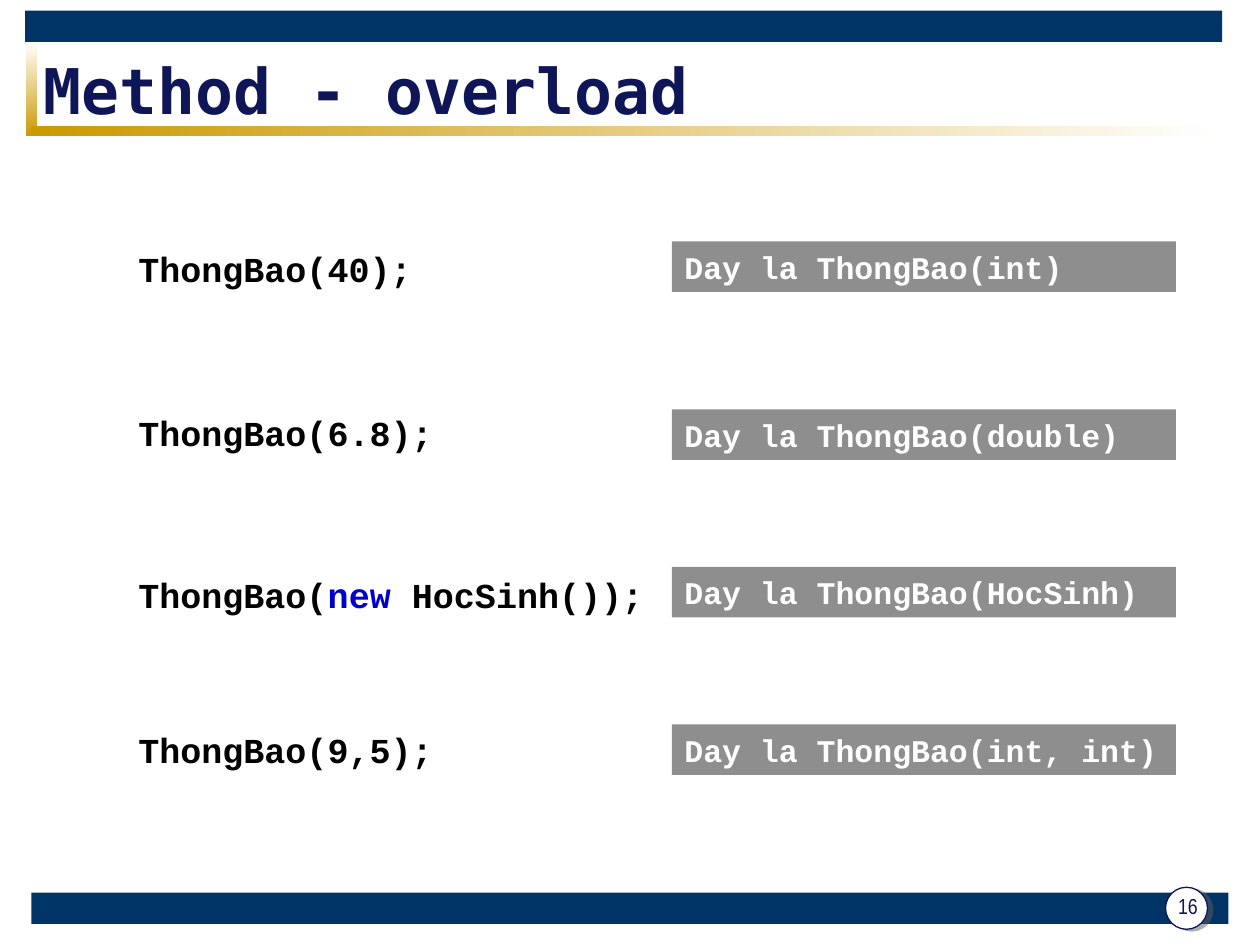
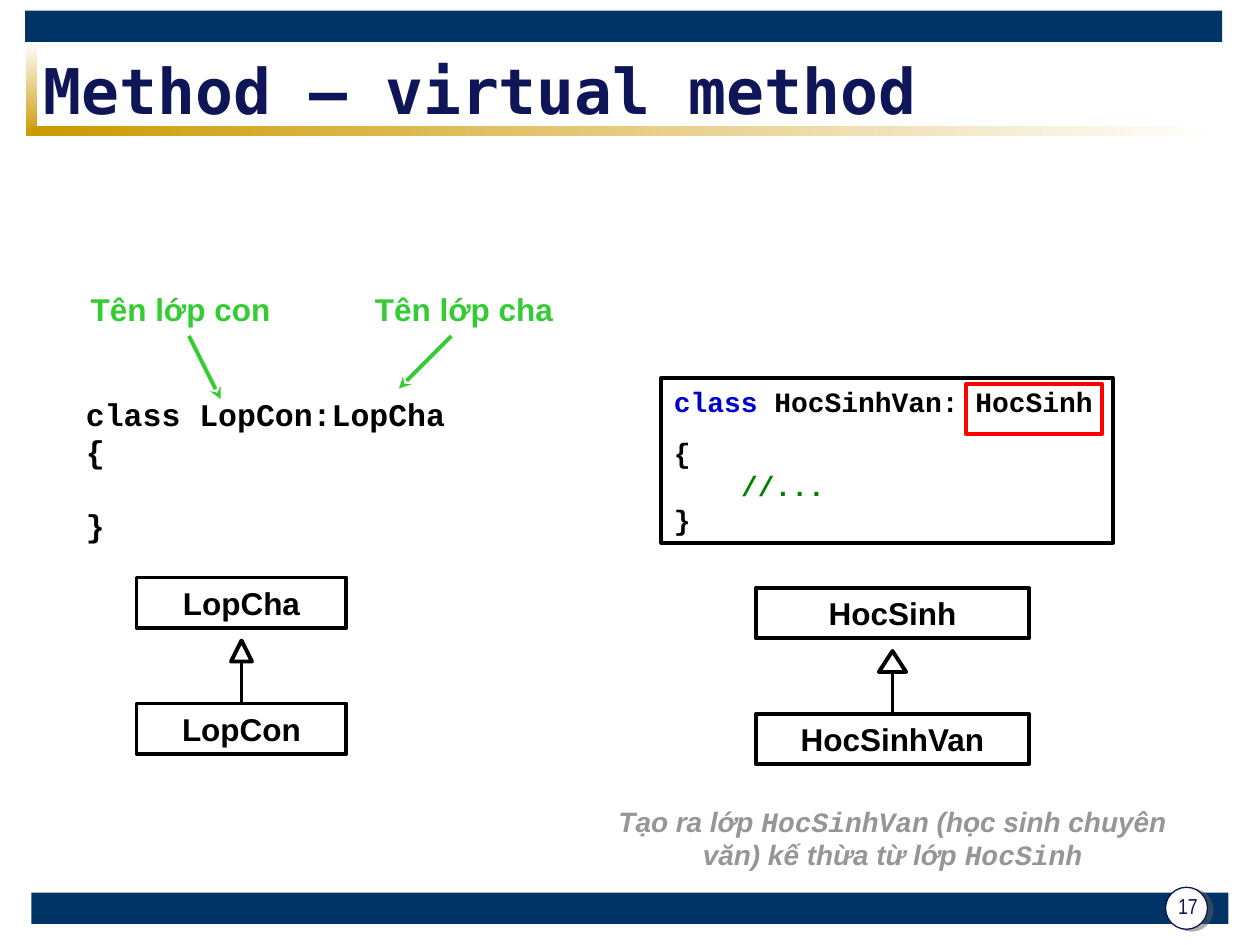
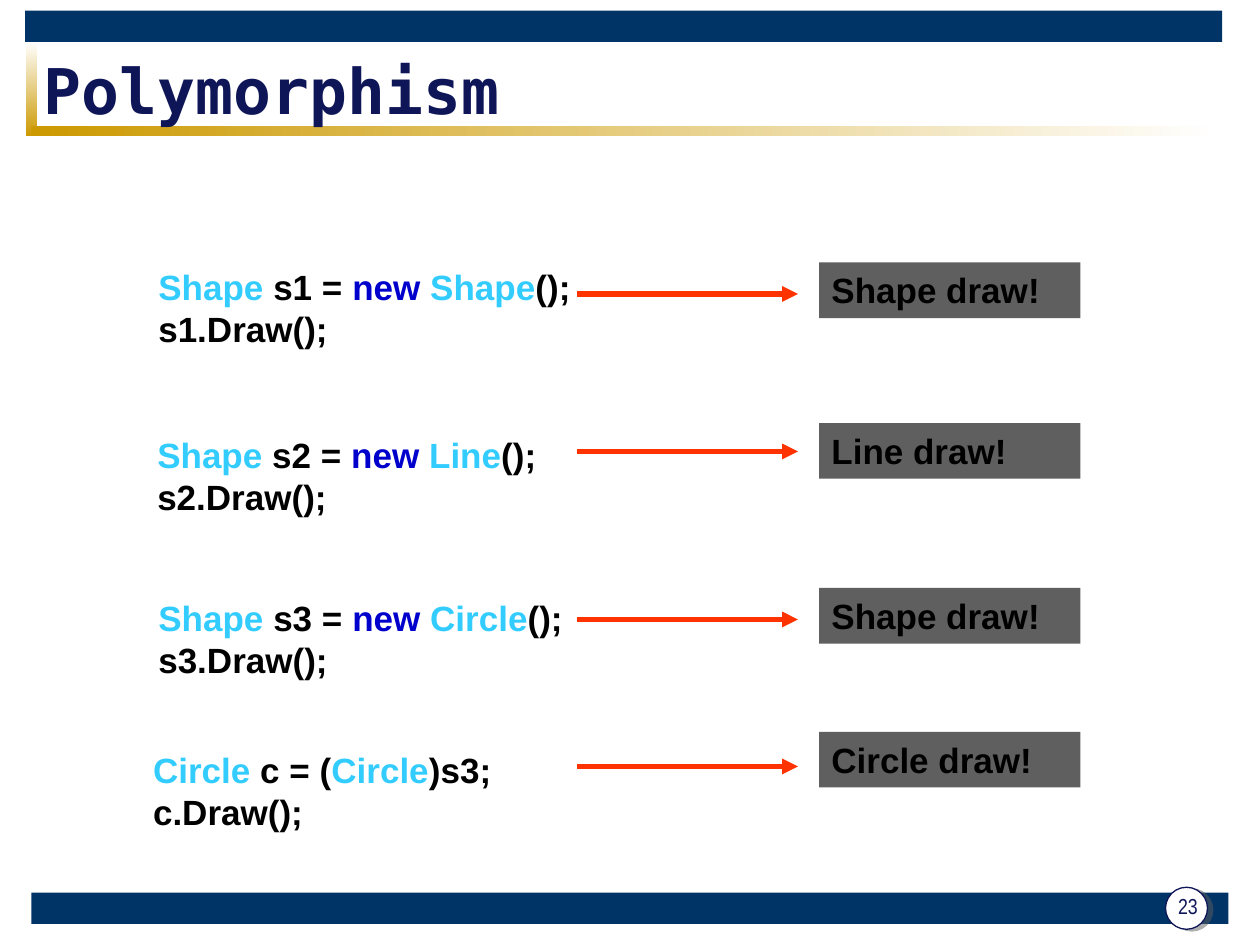
from lxml.etree import SubElement
from pptx import Presentation
from pptx.dml.color import RGBColor
from pptx.enum.shapes import MSO_CONNECTOR, MSO_SHAPE
from pptx.enum.text import MSO_ANCHOR, PP_ALIGN
from pptx.oxml.ns import qn
from pptx.util import Inches, Pt

WIDTH, HEIGHT = Inches(10), Inches(7.5)
CELL = WIDTH / 120  # the grid has 120 columns and 90 rows

NAVY, INK, GOLD = "003366", "0F1657", "CC9900"
WHITE, BLACK, GREY, PALE = "FFFFFF", "000000", "5F5F5F", "969696"
BLUE, SKY, GREEN, LEAF = "0000CC", "33CCFF", "008000", "33CC33"
RED, FLAME = "FF0000", "FF3300"
MONO, SANS = "Courier New", "Arial"
LEFT, CENTER = PP_ALIGN.LEFT, PP_ALIGN.CENTER


def rgb(code):
    return RGBColor.from_string(code)


def grid(*cells):
    return [round(cell * CELL) for cell in cells]


def alpha(color, share):
    SubElement(color, qn("a:alpha"), val=str(share * 1000))


def block(slide, area, fill=None, line=None, weight=2.25, kind=MSO_SHAPE.RECTANGLE):
    """Add a preset shape; area is left, top, width, height in grid cells."""
    shape = slide.shapes.add_shape(kind, *grid(*area))
    shape.shadow.inherit = False
    if fill:
        shape.fill.solid()
        shape.fill.fore_color.rgb = rgb(fill)
    else:
        shape.fill.background()
    if line:
        shape.line.color.rgb = rgb(line)
        shape.line.width = Pt(weight)
    else:
        shape.line.fill.background()
    return shape


def fade(slide, area, angle):
    """Add a bar that runs from gold to white."""
    bar = block(slide, area)
    bar.fill.gradient()
    bar.fill.gradient_angle = angle
    for stop, color in zip(bar.fill.gradient_stops, (GOLD, WHITE)):
        stop.color.rgb = rgb(color)


def write(shape, lines, size, font=SANS, color=BLACK, align=LEFT,
          anchor=MSO_ANCHOR.TOP, bold=True, italic=False):
    """Fill a shape with lines, each a string or a list of (text, color, font)."""
    frame = shape.text_frame
    frame.word_wrap = True
    frame.vertical_anchor = anchor
    for i, line in enumerate(lines):
        para = frame.add_paragraph() if i else frame.paragraphs[0]
        para.alignment = align
        for text, *style in [(line,)] if isinstance(line, str) else line:
            run = para.add_run()
            run.text = text
            run.font.size = Pt(size)
            run.font.bold, run.font.italic = bold, italic
            run.font.color.rgb = rgb(style[0] if style else color)
            run.font.name = style[1] if len(style) > 1 else font
    return frame.paragraphs


def label(slide, area, lines, size, **style):
    return write(slide.shapes.add_textbox(*grid(*area)), lines, size, **style)


def link(slide, start, end, color, weight=2.25, head=None):
    line = slide.shapes.add_connector(MSO_CONNECTOR.STRAIGHT, *grid(*start, *end))
    line.line.color.rgb = rgb(color)
    line.line.width = Pt(weight)
    if head:
        SubElement(line.line._get_or_add_ln(), qn("a:tailEnd"), type=head)
    SubElement(line._element.spPr, qn("a:effectLst"))
    return line


def badge(slide, number):
    disc = block(slide, (111, 84.5, 4, 4), WHITE, INK, 0.75, MSO_SHAPE.OVAL)
    effects = disc._element.spPr.find(qn("a:effectLst"))
    shadow = SubElement(effects, qn("a:outerShdw"), blurRad="0",
                        dist=str(Pt(3.2)), dir=str(18 * 60000), algn="ctr")
    alpha(SubElement(shadow, qn("a:srgbClr"), val=GREY), 50)
    para, = label(slide, (110.5, 84.4, 5.3, 4.3), [str(number)], 12.4,
                  font="Arial Narrow", color=INK, align=CENTER,
                  anchor=MSO_ANCHOR.MIDDLE, bold=False)
    para.line_spacing = 0.8


def page(deck, title, number):
    """Add a slide with the shared bands, title and slide number."""
    slide = deck.slides.add_slide(deck.slide_layouts[6])
    for left, top in ((3, 85), (2.4, 1)):
        block(slide, (left, top, 114, 3), NAVY)
    fade(slide, (2.5, 4, 1, 9), 90)
    fade(slide, (3, 12, 113, 1), 0)
    badge(slide, number)
    label(slide, (3, 5, 108, 7), [title], 36, font="DejaVu Sans Mono",
          color=INK, anchor=MSO_ANCHOR.MIDDLE)
    return slide


def family(slide, left, top, width, tip, parent, child):
    """Draw a parent class over its child, joined by a hollow arrow."""
    for name, row in ((parent, top), (child, top + 12)):
        box = block(slide, (left, row, width, 4.8), line=BLACK)
        write(box, [name], 18, align=CENTER)
    mid = left + width / 2
    block(slide, (mid - tip / 2, top + 6, tip, 2), line=BLACK,
          kind=MSO_SHAPE.ISOSCELES_TRIANGLE)
    stem = link(slide, (mid, top + 12), (mid, top + 8), BLACK)
    stem.begin_connect(box, 0)


def overload(deck):
    slide = page(deck, "Method - overload", 16)
    calls = (
        (23, 47, "ThongBao(40);"),
        (38.6, 47, "ThongBao(6.8);"),
        (54, 67, [("ThongBao(",), ("new", BLUE), (" HocSinh());",)]),
        (68.8, 47, "ThongBao(9,5);"),
    )
    for top, width, call in calls:
        write(block(slide, (12, top, width, 5.3), WHITE), [call], 20, font=MONO)
    kinds = ("int", "double", "HocSinh", "int, int")
    for top, kind in zip((23, 39, 54, 69), kinds):
        box = block(slide, (64, top, 48, 4.8), GREY)
        alpha(box._element.spPr.find(qn("a:solidFill"))[0], 70)
        write(box, [f"Day la ThongBao({kind})"], 18, font=MONO, color=WHITE)


def virtual(deck):
    slide = page(deck, "Method – virtual method", 17)
    code = label(slide, (7, 37, 38, 15.6), ["class LopCon:LopCha", "{", "}"],
                 18, font=MONO)
    code[-1].space_before = Pt(20.4)

    hints = (
        (5.2, "Tên lớp con", (18, 32), (21, 38)),
        (32.2, "Tên lớp cha", (43, 32), (38, 37)),
    )
    for left, text, start, end in hints:
        label(slide, (left, 27, 24, 4.8), [text], 18, color=LEAF, align=CENTER)
        link(slide, start, end, LEAF, head="stealth")

    sample = block(slide, (63, 36, 43, 15.7), WHITE, BLACK)
    lines = [[("class", BLUE), (" HocSinhVan: HocSinh",)], "{",
             [("//...", GREEN)], "}"]
    paras = write(sample, lines, 16, font=MONO)
    for para in paras[:2]:
        para.space_before = Pt(10)
    paras[2]._p.get_or_add_pPr().set("marL", str(Pt(38.4)))

    note = [("Tạo ra lớp ",), ("HocSinhVan", PALE, MONO),
            (" (học sinh chuyên văn) kế thừa từ lớp ",), ("HocSinh", PALE, MONO)]
    para, = label(slide, (55, 76, 60, 7.7), [note], 16, color=PALE,
                  align=CENTER, italic=True)
    para.space_before = Pt(10)
    block(slide, (92, 36.6, 13, 4.7), line=RED)
    family(slide, 13, 55, 20, 2, "LopCha", "LopCon")
    family(slide, 72, 56, 26, 2.6, "HocSinh", "HocSinhVan")


def make(kind, name, new):
    return [(kind, SKY), (f" {name} = ",), ("new ", BLUE), (new, SKY), ("();",)]


def poly(deck):
    slide = page(deck, "Polymorphism", 23)
    cast = [("Circle", SKY), (" c = (",), ("Circle", SKY), (")s3;",)]
    rows = (
        (13.9, 24.7, make("Shape", "s1", "Shape"), "s1", 28, 25, "Shape"),
        (13.8, 40.7, make("Shape", "s2", "Line"), "s2", 43, 40.3, "Line"),
        (13.9, 56.2, make("Shape", "s3", "Circle"), "s3", 59, 56, "Shape"),
        (13.4, 70.7, cast, "c", 73, 69.7, "Circle"),
    )
    for left, top, line, name, mid, box, result in rows:
        label(slide, (left, top, 43, 9.2), [line, f"{name}.Draw();"], 20)
        write(block(slide, (78, box, 24.9, 5.3), GREY), [f"{result} draw!"], 20)
        link(slide, (55, mid), (76, mid), FLAME, 3, "triangle")


def main():
    deck = Presentation()
    deck.slide_width, deck.slide_height = WIDTH, HEIGHT
    overload(deck)
    virtual(deck)
    poly(deck)
    deck.save("out.pptx")


if __name__ == "__main__":
    main()
